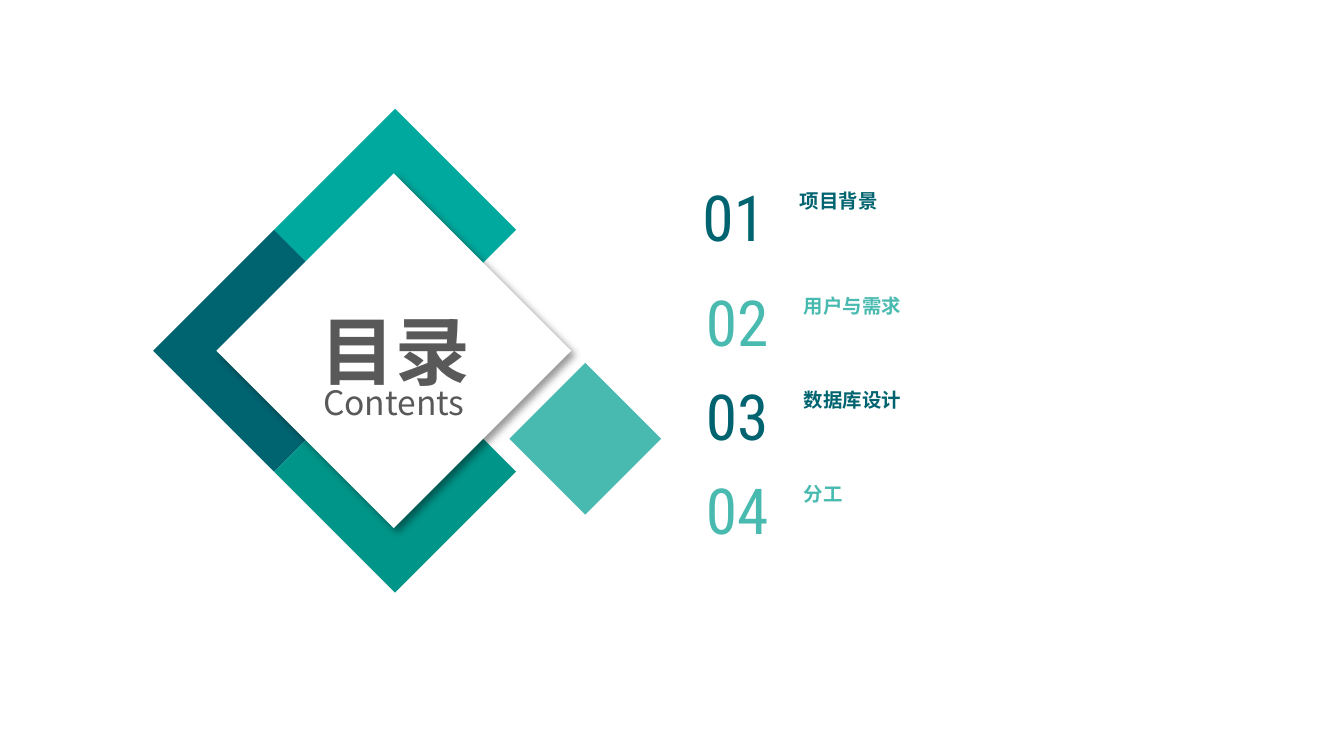
import pptx
import pptx.dml.color
import pptx.enum.shapes
import pptx.enum.text
import pptx.oxml
import pptx.oxml.ns
import pptx.util
from pptx.util import Inches

BODY_FONT = "Noto Sans CJK SC"
NUMBER_FONT = "Roboto Condensed"
DARK_TEAL = "006470"
LIGHT_TEAL = "49BAAF"
GREY = "595959"
ANCHOR = pptx.enum.text.MSO_ANCHOR
ALIGN = pptx.enum.text.PP_ALIGN


def color(hex_value):
    return pptx.dml.color.RGBColor.from_string(hex_value)


def add_diamond(slide, left, top, size, fill):
    shape = slide.shapes.add_shape(
        pptx.enum.shapes.MSO_SHAPE.DIAMOND,
        Inches(left), Inches(top), Inches(size), Inches(size))
    shape.shadow.inherit = False
    shape.fill.solid()
    shape.fill.fore_color.rgb = color(fill)
    shape.line.fill.background()
    return shape


def add_shadow(shape):
    effects = shape._element.spPr.find(pptx.oxml.ns.qn("a:effectLst"))
    effects.append(pptx.oxml.parse_xml(
        f'<a:outerShdw {pptx.oxml.ns.nsdecls("a")} blurRad="50800" dist="38100" '
        'dir="2700000" algn="tl" rotWithShape="0"><a:srgbClr val="000000">'
        '<a:alpha val="40000"/></a:srgbClr></a:outerShdw>'))


def set_text(shape, text, size, font_name, hex_value, align=ALIGN.LEFT,
             anchor=ANCHOR.MIDDLE, bold=False, wrap=False, margins=None):
    frame = shape.text_frame
    frame.auto_size = pptx.enum.text.MSO_AUTO_SIZE.NONE
    frame.word_wrap = wrap
    frame.vertical_anchor = anchor
    if margins:
        (frame.margin_left, frame.margin_top,
         frame.margin_right, frame.margin_bottom) = map(Inches, margins)
    paragraph = frame.paragraphs[0]
    paragraph.text = text
    paragraph.alignment = align
    font = paragraph.font
    font.size = pptx.util.Pt(size)
    font.bold = bold
    font.name = font_name
    font.color.rgb = color(hex_value)
    properties = paragraph._p.pPr.find(pptx.oxml.ns.qn("a:defRPr"))
    properties.append(pptx.oxml.parse_xml(
        f'<a:ea {pptx.oxml.ns.nsdecls("a")} typeface="{font_name}"/>'))


def add_text(slide, left, top, width, height, *text, **options):
    box = slide.shapes.add_textbox(
        Inches(left), Inches(top), Inches(width), Inches(height))
    set_text(box, *text, **options)


def add_entry(slide, number, label, top, number_width, label_left, hex_value):
    add_text(slide, 5.19, top, number_width, 0.58,
             number, 34, NUMBER_FONT, hex_value, align=ALIGN.CENTER)
    add_text(slide, label_left, top + 0.06, 3.25, 0.2,
             label, 10.4, BODY_FONT, hex_value, anchor=ANCHOR.BOTTOM,
             bold=True, margins=(0.39, 0, 0, 0))


def add_title(slide):
    title = slide.shapes.title
    title.left, title.top = Inches(2.2), Inches(2.22)
    title.width, title.height = Inches(1.48), Inches(0.76)
    set_text(title, "目录", 40, BODY_FONT, GREY, align=ALIGN.CENTER,
             anchor=ANCHOR.TOP, bold=True, wrap=True,
             margins=(0.1, 0.05, 0.1, 0.05))
    slide.shapes._spTree.append(title._element)


def main():
    presentation = pptx.Presentation()
    presentation.slide_width = Inches(10)
    presentation.slide_height = Inches(10) * 9 // 16
    slide = presentation.slides.add_slide(presentation.slide_layouts[5])

    for left, top, fill in ((1.14, 1.71, DARK_TEAL),
                            (2.04, 0.81, "00A99D"),
                            (2.04, 2.61, "009589")):
        add_diamond(slide, left, top, 1.8, fill)
    add_shadow(add_diamond(slide, 1.61, 1.29, 2.64, "FFFFFF"))
    add_diamond(slide, 3.79, 2.7, 1.13, LIGHT_TEAL)

    add_entry(slide, "01", "项目背景", 1.32, 0.54, 5.56, DARK_TEAL)
    later_entries = (("02", "用户与需求", LIGHT_TEAL),
                     ("03", "数据库设计", DARK_TEAL),
                     ("04", "分工", LIGHT_TEAL))
    for index, (number, label, hex_value) in enumerate(later_entries):
        add_entry(slide, number, label, 2.1 + 0.7 * index, 0.59, 5.59, hex_value)

    add_text(slide, 2.19, 2.72, 1.48, 0.42, "Contents", 18, BODY_FONT, GREY,
             align=ALIGN.CENTER, anchor=ANCHOR.BOTTOM, wrap=True,
             margins=(0, 0, 0, 0))
    add_title(slide)
    presentation.save("out.pptx")


main()
